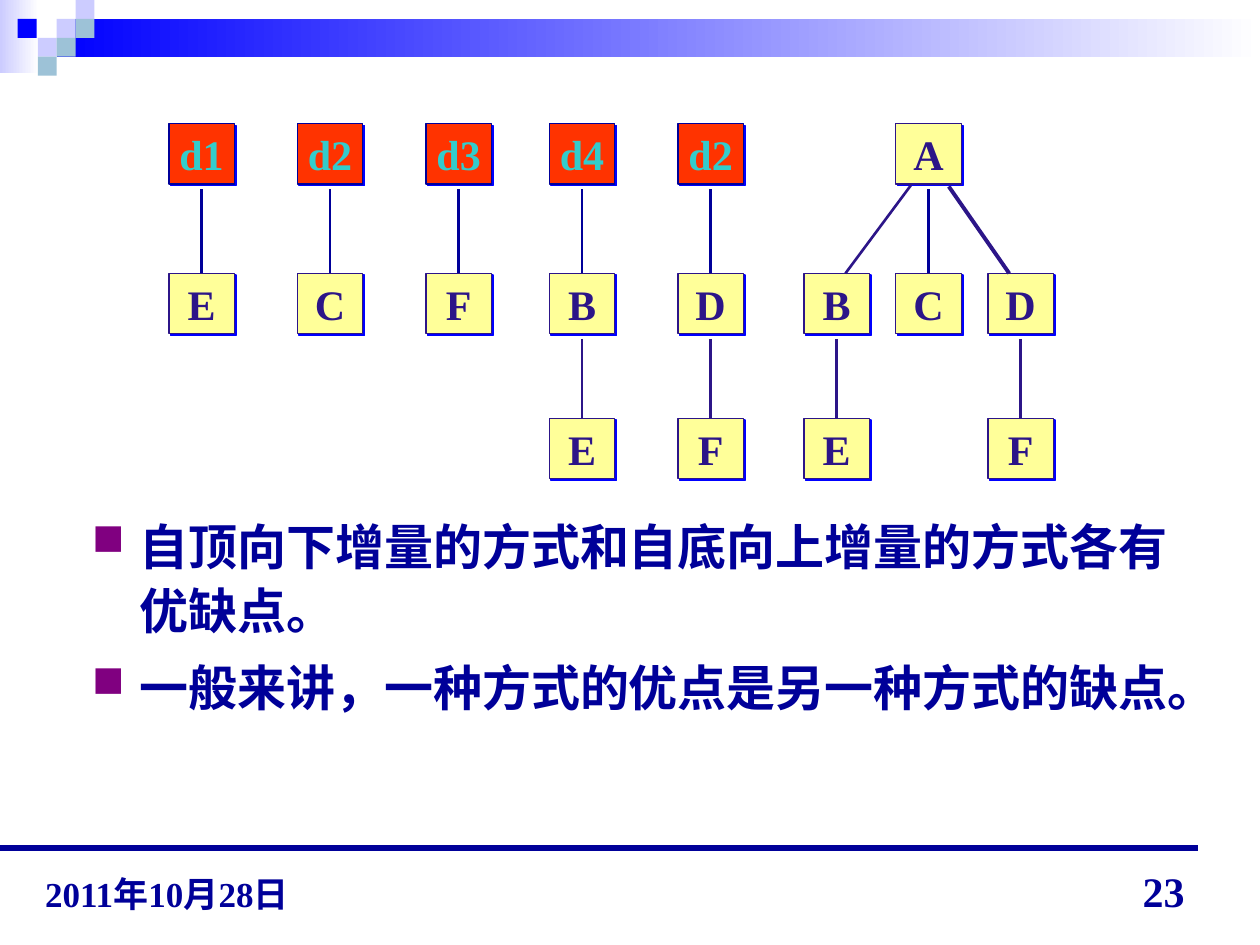
from dataclasses import dataclass

from lxml import etree
from pptx import Presentation
from pptx.dml.color import RGBColor
from pptx.enum.shapes import MSO_CONNECTOR, MSO_SHAPE
from pptx.enum.text import MSO_ANCHOR, PP_ALIGN
from pptx.oxml.ns import qn
from pptx.util import Inches, Pt

RECT = MSO_SHAPE.RECTANGLE
LINE = MSO_CONNECTOR.STRAIGHT
LEFT, MID, RIGHT = PP_ALIGN.LEFT, PP_ALIGN.CENTER, PP_ALIGN.RIGHT
TOP, CENTER, BOTTOM = MSO_ANCHOR.TOP, MSO_ANCHOR.MIDDLE, MSO_ANCHOR.BOTTOM
FONT = "Times New Roman"

HUES = {
    "white": "FFFFFF", "blue": "0000FF", "lilac": "CCCCFF", "steel": "9DC2D7",
    "navy": "000099", "indigo": "2C1588", "red": "FF3300", "yellow": "FFFF99",
    "cyan": "33CCCC", "purple": "800080",
}

BOX_W, BOX_H = 0.52, 0.48
GAP = 0.04  # between a parent box and the line below it
ROWS = (0.98, 2.17, 3.32)


@dataclass
class Tile:
    x: float
    y: float
    w: float
    h: float
    hue: str
    fade: bool = False


@dataclass
class Chain:
    x: float
    labels: str
    row: int = 0


@dataclass
class Branch:
    x1: float
    y1: float
    x2: float
    width: float


SIDE = 0.15
TILES = [
    Tile(0, 0, 0.31, 0.58, "lilac", True),
    Tile(0.45, 0.15, 9.55, 0.3, "blue", True),
] + [
    Tile(x, y, SIDE, SIDE, hue)
    for x, y, hue in (
        (0.45, 0.15, "lilac"), (0.6, 0, "lilac"), (0.6, 0.15, "steel"),
        (0.3, 0.3, "lilac"), (0.14, 0.15, "blue"), (0.45, 0.3, "steel"),
        (0.3, 0.45, "steel"),
    )
]
CHAINS = [
    Chain(1.34, "d1 E"), Chain(2.36, "d2 C"), Chain(3.38, "d3 F"),
    Chain(4.36, "d4 B E"), Chain(5.38, "d2 D F"),
    Chain(7.11, "A C"), Chain(6.38, "B E", 1), Chain(7.84, "D F", 1),
]
BRANCHES = [Branch(7.23, 1.47, 6.71, 1.5), Branch(7.53, 1.48, 8.01, 2.25)]
POINTS = [
    "自顶向下增量的方式和自底向上增量的方式各有优缺点。",
    "一般来讲，一种方式的优点是另一种方式的缺点。",
]


def rgb(hue: str) -> RGBColor:
    return RGBColor.from_string(HUES[hue])


def add_bullet(para) -> None:
    props = para._p.get_or_add_pPr()
    props.set("marL", str(Inches(0.38)))
    props.set("indent", str(-Inches(0.38)))
    tint = etree.SubElement(props, qn("a:buClr"))
    etree.SubElement(tint, qn("a:srgbClr"), val=HUES["purple"])
    etree.SubElement(props, qn("a:buSzPct"), val="90000")
    etree.SubElement(props, qn("a:buChar"), char="■")


def put_text(shape, *lines: str, size: float = 24, hue: str = "navy",
             align=LEFT, anchor=TOP, wrap: bool = True, bullet: bool = False,
             spacing: float = 1.0, before: float = 0) -> None:
    frame = shape.text_frame
    frame.word_wrap = wrap
    frame.vertical_anchor = anchor
    for i, line in enumerate(lines):
        para = frame.add_paragraph() if i else frame.paragraphs[0]
        if bullet:
            add_bullet(para)
        para.alignment = align
        para.line_spacing = spacing
        para.space_before = Pt(before if i else 0)
        run = para.add_run()
        run.text = line
        run.font.name = FONT
        run.font.size = Pt(size)
        run.font.bold = True
        run.font.color.rgb = rgb(hue)


def add_label(slide, x: float, y: float, w: float, h: float,
              *lines: str, **style) -> None:
    area = slide.shapes.add_textbox(Inches(x), Inches(y), Inches(w), Inches(h))
    put_text(area, *lines, **style)


def add_rect(slide, x: float, y: float, w: float, h: float):
    shape = slide.shapes.add_shape(RECT, Inches(x), Inches(y), Inches(w), Inches(h))
    shape.shadow.inherit = False
    return shape


def add_tile(slide, tile: Tile) -> None:
    shape = add_rect(slide, tile.x, tile.y, tile.w, tile.h)
    shape.line.fill.background()
    if tile.fade:
        shape.fill.gradient()
        shape.fill.gradient_angle = 180
        for stop, hue in zip(shape.fill.gradient_stops, ("white", tile.hue)):
            stop.color.rgb = rgb(hue)
    else:
        shape.fill.solid()
        shape.fill.fore_color.rgb = rgb(tile.hue)


def add_line(slide, x1: float, y1: float, x2: float, y2: float,
             hue: str, width: float):
    line = slide.shapes.add_connector(
        LINE, Inches(x1), Inches(y1), Inches(x2), Inches(y2))
    line.line.color.rgb = rgb(hue)
    line.line.width = Pt(width)
    etree.SubElement(line._element.spPr, qn("a:effectLst"))
    return line


def add_node(slide, x: float, y: float, label: str):
    is_doc = label.startswith("d")
    shape = add_rect(slide, x, y, BOX_W, BOX_H)
    shape.fill.solid()
    shape.fill.fore_color.rgb = rgb("red" if is_doc else "yellow")
    shape.line.color.rgb = rgb("navy" if is_doc else "indigo")
    shape.line.width = Pt(0.75)
    effects = shape._element.spPr.find(qn("a:effectLst"))
    shade = etree.SubElement(effects, qn("a:outerShdw"), blurRad="0",
                             dist=str(Pt(1.4)), dir="2700000", algn="ctr")
    etree.SubElement(shade, qn("a:srgbClr"), val=HUES["blue"])
    put_text(shape, label, hue="cyan" if is_doc else "indigo",
             align=MID, anchor=CENTER, wrap=False)
    return shape


def add_chain(slide, chain: Chain) -> None:
    mid = chain.x + BOX_W / 2
    for i, label in enumerate(chain.labels.split()):
        row = chain.row + i
        node = add_node(slide, chain.x, ROWS[row], label)
        if i:
            start = ROWS[row - 1] + BOX_H + GAP
            hue = "navy" if row == 1 else "indigo"
            link = add_line(slide, mid, start, mid, ROWS[row], hue, 1.5)
            link.end_connect(node, 0)


def main() -> None:
    deck = Presentation()
    deck.slide_width, deck.slide_height = Inches(10), Inches(7.5)
    slide = deck.slides.add_slide(deck.slide_layouts[6])

    # Header band and footer rule
    for tile in TILES:
        add_tile(slide, tile)
    add_line(slide, 0, 6.73, 9.51, 6.73, "navy", 3.25)

    # Bullet points
    add_label(slide, 0.63, 4, 8.85, 2.3, *POINTS, size=28, bullet=True,
              spacing=1.1, before=7)

    # Document chains and the merged tree
    for chain in CHAINS:
        add_chain(slide, chain)
    for branch in BRANCHES:
        add_line(slide, branch.x1, branch.y1, branch.x2, ROWS[1],
                 "indigo", branch.width)

    # Footer
    add_label(slide, 7.17, 6.82, 2.33, 0.5, "23", align=RIGHT, anchor=BOTTOM)
    add_label(slide, 0.26, 6.79, 2.57, 0.52, "2011年10月28日", size=20,
              anchor=BOTTOM)

    deck.save("out.pptx")


if __name__ == "__main__":
    main()
